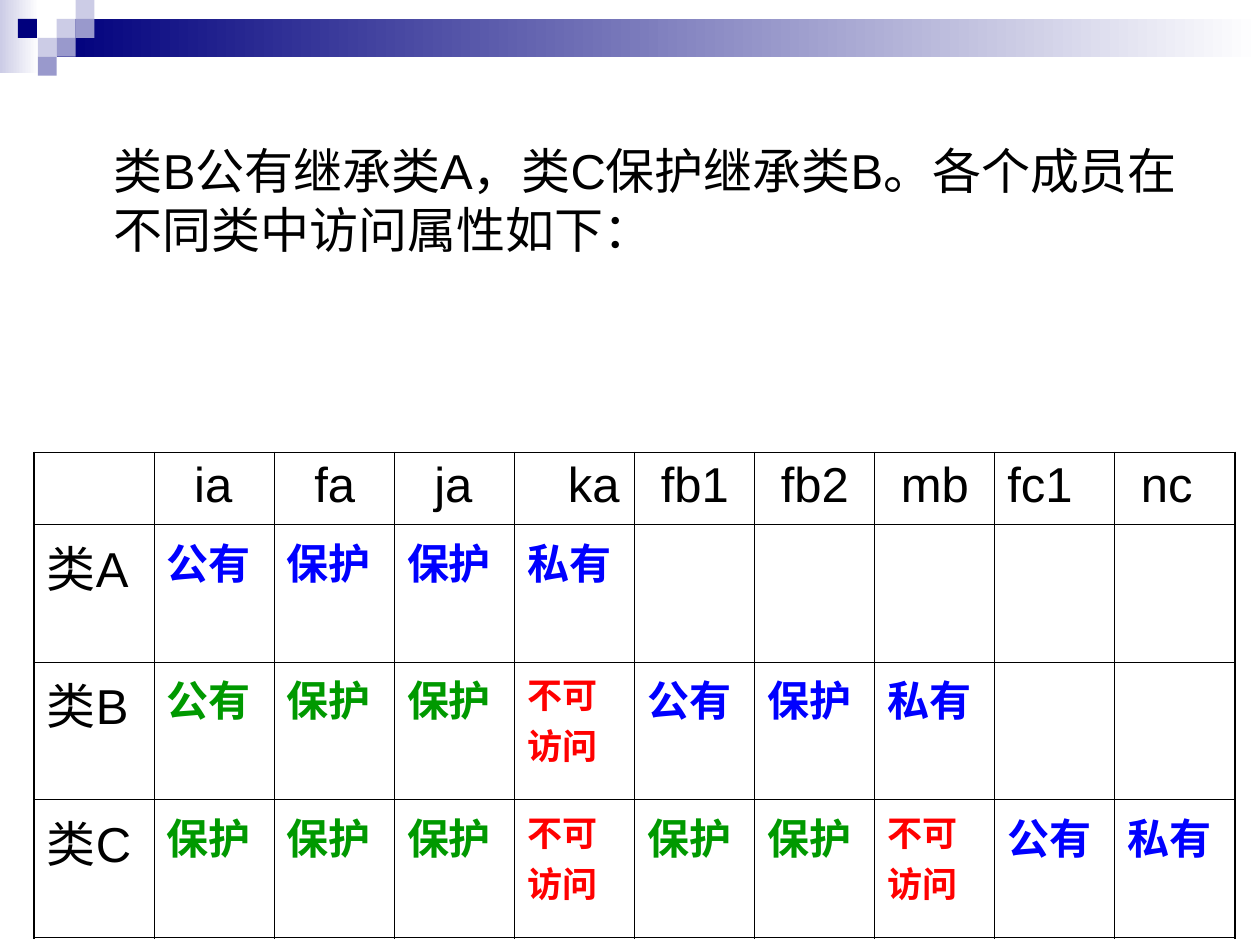
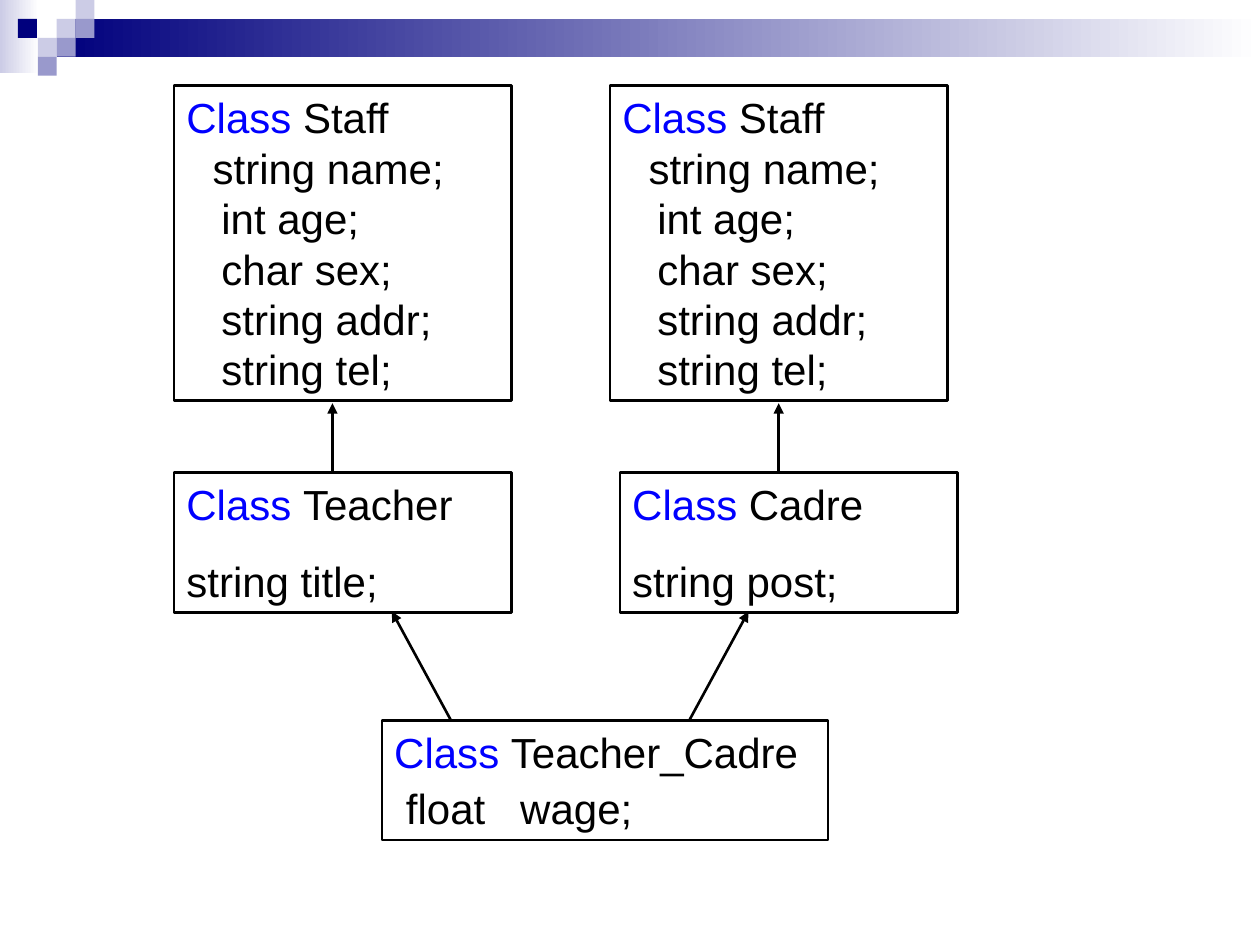
from lxml.etree import SubElement
from pptx import Presentation
from pptx.dml.color import RGBColor
from pptx.enum.shapes import MSO_CONNECTOR, MSO_SHAPE
from pptx.enum.text import MSO_ANCHOR, PP_ALIGN
from pptx.oxml.ns import qn
from pptx.util import Pt

BLACK = RGBColor(0x00, 0x00, 0x00)
WHITE = RGBColor(0xFF, 0xFF, 0xFF)
NAVY = RGBColor(0x00, 0x00, 0x7D)
LILAC = RGBColor(0xCC, 0xCC, 0xE6)
VIOLET = RGBColor(0x99, 0x99, 0xCC)
BLUE = RGBColor(0x00, 0x00, 0xFF)
GREEN = RGBColor(0x00, 0x99, 0x00)
RED = RGBColor(0xFF, 0x00, 0x00)
FONT = "Arial"

BANDS = [
    ((0, 0, 22.3, 41.8), LILAC),
    ((32.4, 10.8, 687.6, 21.6), NAVY),
]
TILE = 10.8
TILES = [
    (3, 1, LILAC), (4, 0, LILAC), (4, 1, VIOLET), (2, 2, LILAC),
    (0.95, 1, NAVY), (3, 2, VIOLET), (2, 3, VIOLET),
]

INTRO = "类B公有继承类A，类C保护继承类B。各个成员在不同类中访问属性如下："
MEMBERS = [
    ("ia", 15.6), ("fa", 15.6), ("ja", 15.6), ("ka", 23.3), ("fb1", 7.8),
    ("fb2", 7.8), ("mb", 7.8), ("fc1", 0), ("nc", 7.8),
]
NO_ACCESS = "不可访问"
CLASSES = [
    ("类A", 0, ["公有", "保护", "保护", "私有"]),
    ("类B", 4, ["公有", "保护", "保护", NO_ACCESS, "公有", "保护", "私有"]),
    ("类C", 7, ["保护", "保护", "保护", NO_ACCESS, "保护", "保护", NO_ACCESS, "公有", "私有"]),
]
COLUMN_WIDTH = 68.6
HEADER_HEIGHT, CLASS_HEIGHT = 41, 78.8
INNER_LINE, OUTER_LINE = 0.45, 1.08

STAFF_FIELDS = [
    ("string name;", 15, 0, 1), ("int age;", 20, 0, 1), ("char sex;", 20, 0, 1),
    ("string addr;", 20, 0, 1), ("string tel;", 20, 0, 1),
]
CLASS_BOXES = [
    ((99.4, 49, 193, 180), "Staff", STAFF_FIELDS),
    ((99.4, 270, 193, 80), "Teacher", [("string title;", 0, 15, 1)]),
    ((348.5, 49, 193, 180), "Staff", STAFF_FIELDS),
    ((354.2, 270, 193, 80), "Cadre", [("string post;", 0, 15, 1)]),
    ((218.2, 411.8, 255, 68.2), "Teacher_Cadre", [("float\twage;", 6.7, 6, 0.9)]),
]
WAGE_TAB = 72
INHERITANCE = [
    ((190, 270), (190, 230.4)),
    ((445, 270), (445, 230.4)),
    ((257.8, 411.8), (223.9, 349.4)),
    ((393.8, 411.8), (427.7, 349.4)),
]


def points(*lengths):
    return [Pt(length) for length in lengths]


def add_run(paragraph, text, size, color=BLACK, bold=False):
    run = paragraph.add_run()
    run.text = text
    run.font.name = FONT
    run.font.size = Pt(size)
    run.font.bold = bold
    run.font.color.rgb = color


def style_paragraph(paragraph, before=0, margin=0, first=0, spacing=1):
    paragraph.alignment = PP_ALIGN.LEFT
    paragraph.line_spacing = spacing
    paragraph.space_before = Pt(before)
    properties = paragraph._p.get_or_add_pPr()
    properties.set("marL", str(Pt(margin)))
    properties.set("indent", str(Pt(first)))
    return properties


def add_rectangle(slide, place):
    rectangle = slide.shapes.add_shape(MSO_SHAPE.RECTANGLE, *points(*place))
    rectangle.shadow.inherit = False
    return rectangle


def add_header(slide):
    for place, start in BANDS:
        band = add_rectangle(slide, place)
        band.line.fill.background()
        band.fill.gradient()
        band.fill.gradient_angle = 0
        for stop, color in zip(band.fill.gradient_stops, (start, WHITE)):
            stop.color.rgb = color
    for column, row, color in TILES:
        tile = add_rectangle(slide, (column * TILE, row * TILE, TILE, TILE))
        tile.line.fill.background()
        tile.fill.solid()
        tile.fill.fore_color.rgb = color


def add_intro(slide):
    intro = slide.shapes.add_textbox(*points(31, 77, 658.8, 81.4))
    intro.text_frame.word_wrap = True
    paragraph = intro.text_frame.paragraphs[0]
    style_paragraph(paragraph, before=7, margin=27)
    add_run(paragraph, INTRO, 28)


def set_borders(cell, outer_sides):
    properties = cell._tc.get_or_add_tcPr()
    for side in "LRTB":
        width = OUTER_LINE if side in outer_sides else INNER_LINE
        border = SubElement(properties, qn(f"a:ln{side}"), w=str(Pt(width)))
        fill = SubElement(border, qn("a:solidFill"))
        SubElement(fill, qn("a:srgbClr"), val=str(BLACK))
    cell.fill.background()


def write_cell(cell, text, size, color=BLACK, bold=False, first=0):
    paragraph = cell.text_frame.paragraphs[0]
    style_paragraph(paragraph, before=size / 4, first=first)
    add_run(paragraph, text, size, color, bold)


def access_style(access, column, own_start):
    if access == NO_ACCESS:
        return 20, RED
    return 24, BLUE if column >= own_start else GREEN


def add_access_table(slide):
    rows, columns = len(CLASSES) + 1, len(MEMBERS) + 1
    height = HEADER_HEIGHT + CLASS_HEIGHT * len(CLASSES)
    place = points(19.6, 258.5, COLUMN_WIDTH * columns, height)
    table = slide.shapes.add_table(rows, columns, *place).table
    table.first_row = table.horz_banding = False
    for column in table.columns:
        column.width = Pt(COLUMN_WIDTH)
    for r, row in enumerate(table.rows):
        row.height = Pt(CLASS_HEIGHT if r else HEADER_HEIGHT)
        for c, cell in enumerate(row.cells):
            edges = {"T": r == 0, "B": r == rows - 1, "L": c == 0, "R": c == columns - 1}
            set_borders(cell, [side for side, outer in edges.items() if outer])
    for c, (member, first) in enumerate(MEMBERS, 1):
        write_cell(table.cell(0, c), member, 28, first=first)
    for r, (class_name, own_start, accesses) in enumerate(CLASSES, 1):
        write_cell(table.cell(r, 0), class_name, 28)
        for c, access in enumerate(accesses):
            size, color = access_style(access, c, own_start)
            write_cell(table.cell(r, c + 1), access, size, color, bold=True)


def add_class_box(slide, place, class_name, fields):
    box = add_rectangle(slide, place)
    box.fill.background()
    box.line.color.rgb = BLACK
    box.line.width = Pt(1.5)
    frame = box.text_frame
    frame.word_wrap = True
    frame.vertical_anchor = MSO_ANCHOR.TOP
    heading = frame.paragraphs[0]
    style_paragraph(heading, before=15)
    add_run(heading, "Class ", 24, BLUE)
    add_run(heading, class_name, 24)
    for field, first, before, spacing in fields:
        paragraph = frame.add_paragraph()
        properties = style_paragraph(paragraph, before, first=first, spacing=spacing)
        if "\t" in field:
            tabs = SubElement(properties, qn("a:tabLst"))
            SubElement(tabs, qn("a:tab"), pos=str(Pt(WAGE_TAB)), algn="l")
        add_run(paragraph, field, 24)


def add_arrow(slide, start, end):
    arrow = slide.shapes.add_connector(MSO_CONNECTOR.STRAIGHT, *points(*start, *end))
    arrow.line.color.rgb = BLACK
    arrow.line.width = Pt(1.5)
    SubElement(arrow.line._get_or_add_ln(), qn("a:tailEnd"), type="triangle")
    SubElement(arrow._element.spPr, qn("a:effectLst"))


def add_slide(deck):
    slide = deck.slides.add_slide(deck.slide_layouts[6])
    add_header(slide)
    return slide


def main():
    deck = Presentation()
    deck.slide_width, deck.slide_height = points(720, 540)

    access_slide = add_slide(deck)
    add_intro(access_slide)
    add_access_table(access_slide)

    diagram_slide = add_slide(deck)
    for class_box in CLASS_BOXES:
        add_class_box(diagram_slide, *class_box)
    for start, end in INHERITANCE:
        add_arrow(diagram_slide, start, end)

    deck.save("out.pptx")


if __name__ == "__main__":
    main()
